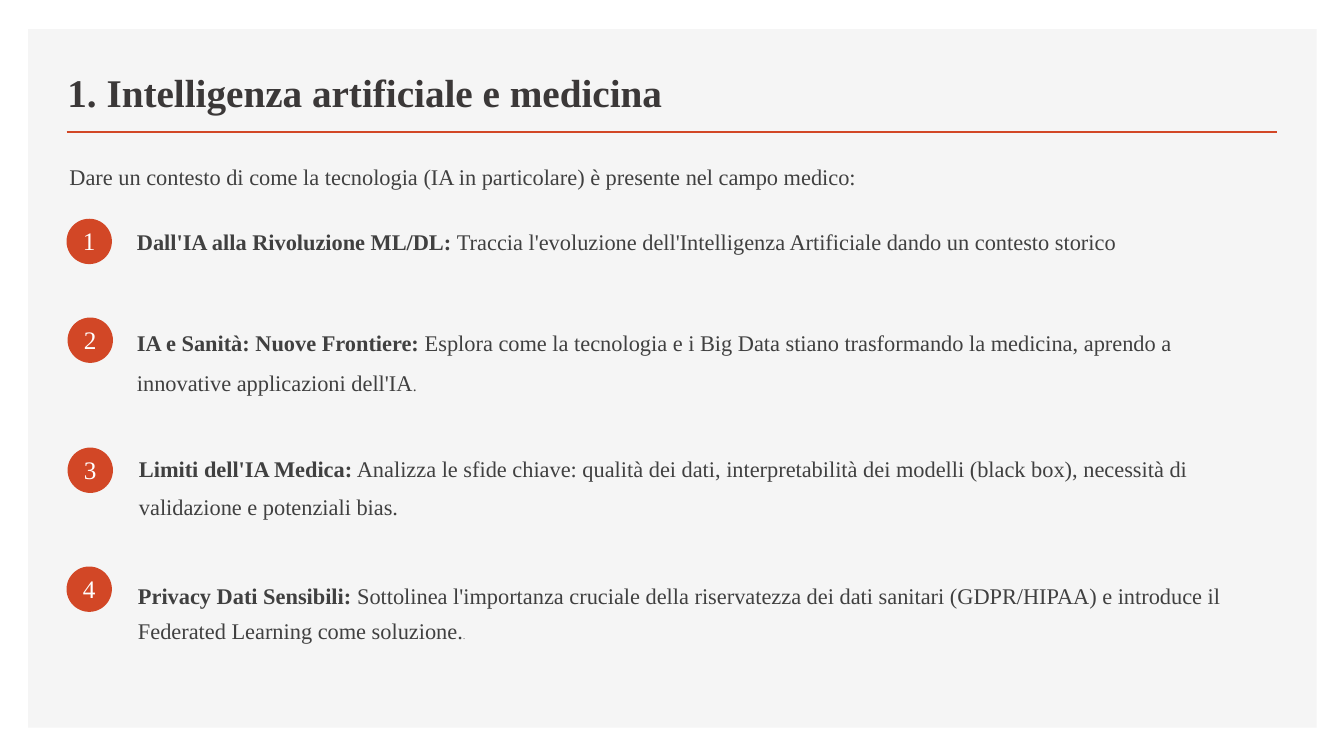
from dataclasses import dataclass

import lxml.etree
import pptx
import pptx.dml.color
import pptx.enum.shapes
import pptx.enum.text
import pptx.oxml.ns
import pptx.shapes.autoshape
import pptx.util
from pptx.util import Inches


@dataclass(frozen=True)
class Theme:
    font: str = "Times New Roman"
    panel: str = "F5F5F5"
    accent: str = "D24726"
    title: str = "3B3838"
    body: str = "404040"
    white: str = "FFFFFF"
    title_size: float = 28
    number_size: float = 18
    body_size: float = 16


@dataclass(frozen=True)
class Box:
    left: float
    top: float
    width: float
    height: float

    def lengths(self) -> list[pptx.util.Length]:
        return [Inches(v) for v in (self.left, self.top, self.width, self.height)]


@dataclass(frozen=True)
class Span:
    text: str
    size: float
    color: str
    bold: bool = False


@dataclass(frozen=True)
class Topic:
    heading: str
    detail: str
    badge_left: float
    badge_top: float
    box: Box
    spacing: float | pptx.util.Length
    space_after: float
    stop_size: float | None = None


THEME = Theme()
BADGE = 0.45
NUMBER_WIDTH, NUMBER_HEIGHT = 0.61, 0.4
EXACT_LINE = pptx.util.Pt(18)

TOPICS = [
    Topic("Dall'IA alla Rivoluzione ML/DL:",
          " Traccia l'evoluzione dell'Intelligenza Artificiale dando un contesto storico",
          0.66, 2.17, Box(1.26, 2.23, 11.52, 0.65), EXACT_LINE, 6),
    Topic("IA e Sanità: Nuove Frontiere:",
          " Esplora come la tecnologia e i Big Data stiano trasformando la medicina, "
          "aprendo a innovative applicazioni dell'IA",
          0.67, 3.15, Box(1.26, 3.08, 10.89, 1.17), 1.5, 20, 11),
    Topic("Limiti dell'IA Medica:",
          " Analizza le sfide chiave: qualità dei dati, interpretabilità dei modelli "
          "(black box), necessità di validazione e potenziali bias.",
          0.67, 4.44, Box(1.28, 4.36, 11.52, 0.83), 1.4, 6),
    Topic("Privacy Dati Sensibili:",
          " Sottolinea l'importanza cruciale della riservatezza dei dati sanitari "
          "(GDPR/HIPAA) e introduce il Federated Learning come soluzione.",
          0.66, 5.62, Box(1.27, 5.65, 11.52, 0.83), 1.3, 20, 6),
]


def rgb(color: str) -> pptx.dml.color.RGBColor:
    return pptx.dml.color.RGBColor.from_string(color)


def add_filled(shapes, kind: pptx.enum.shapes.MSO_SHAPE, box: Box, color: str) -> None:
    sp = shapes.add_shape(kind, *box.lengths())
    sp.shadow.inherit = False
    sp.fill.solid()
    sp.fill.fore_color.rgb = rgb(color)
    sp.line.fill.background()


def add_text(shapes, box: Box, spans: list[Span],
             spacing: float | pptx.util.Length | None = None,
             space_after: float = 0) -> pptx.shapes.autoshape.Shape:
    """Add a wrapped text box holding one paragraph of formatted spans."""
    sp = shapes.add_textbox(*box.lengths())
    sp.text_frame.word_wrap = True
    p = sp.text_frame.paragraphs[0]
    p.line_spacing = spacing
    p.space_after = pptx.util.Pt(space_after)
    for span in spans:
        r = p.add_run()
        r.text = span.text
        r.font.name = THEME.font
        r.font.size = pptx.util.Pt(span.size)
        r.font.bold = span.bold
        r.font.color.rgb = rgb(span.color)
    return sp


def add_title_rule(shapes) -> None:
    line = shapes.add_connector(pptx.enum.shapes.MSO_CONNECTOR.STRAIGHT,
                                Inches(0.66), Inches(1.31), Inches(12.67), Inches(1.31))
    line.line.color.rgb = rgb(THEME.accent)
    line.line.width = pptx.util.Pt(2)
    sp_pr = line.element.find(pptx.oxml.ns.qn("p:spPr"))
    lxml.etree.SubElement(sp_pr, pptx.oxml.ns.qn("a:effectLst"))


def add_badge(shapes, number: int, left: float, top: float) -> None:
    """Group a filled circle with its centred number."""
    group = shapes.add_group_shape()
    add_filled(group.shapes, pptx.enum.shapes.MSO_SHAPE.OVAL,
               Box(left, top, BADGE, BADGE), THEME.accent)
    label_box = Box(left - (NUMBER_WIDTH - BADGE) / 2, top + 0.02,
                    NUMBER_WIDTH, NUMBER_HEIGHT)
    label = add_text(group.shapes, label_box,
                     [Span(str(number), THEME.number_size, THEME.white)])
    label.text_frame.paragraphs[0].alignment = pptx.enum.text.PP_ALIGN.CENTER


def add_topic(shapes, number: int, topic: Topic) -> None:
    add_badge(shapes, number, topic.badge_left, topic.badge_top)
    spans = [Span(topic.heading, THEME.body_size, THEME.body, bold=True),
             Span(topic.detail, THEME.body_size, THEME.body)]
    if topic.stop_size:
        spans.append(Span(".", topic.stop_size, THEME.body))
    add_text(shapes, topic.box, spans, topic.spacing, topic.space_after)


def main() -> None:
    prs = pptx.Presentation()
    prs.slide_width, prs.slide_height = Inches(13.33), Inches(7.5)
    s = prs.slides.add_slide(prs.slide_layouts[6])

    add_filled(s.shapes, pptx.enum.shapes.MSO_SHAPE.RECTANGLE,
               Box(0.28, 0.29, 12.78, 6.93), THEME.panel)
    add_title_rule(s.shapes)
    title = add_text(s.shapes, Box(0.57, 0.49, 7.52, 0.7),
                     [Span("1. Intelligenza artificiale e medicina",
                           THEME.title_size, THEME.title, bold=True)])
    title.text_frame.vertical_anchor = pptx.enum.text.MSO_ANCHOR.BOTTOM
    add_text(s.shapes, Box(0.59, 1.59, 12.08, 0.52),
             [Span("Dare un contesto di come la tecnologia (IA in particolare) "
                   "è presente nel campo medico:", THEME.body_size, THEME.body)],
             EXACT_LINE, 20)
    for number, topic in enumerate(TOPICS, start=1):
        add_topic(s.shapes, number, topic)

    prs.save("out.pptx")


if __name__ == "__main__":
    main()
